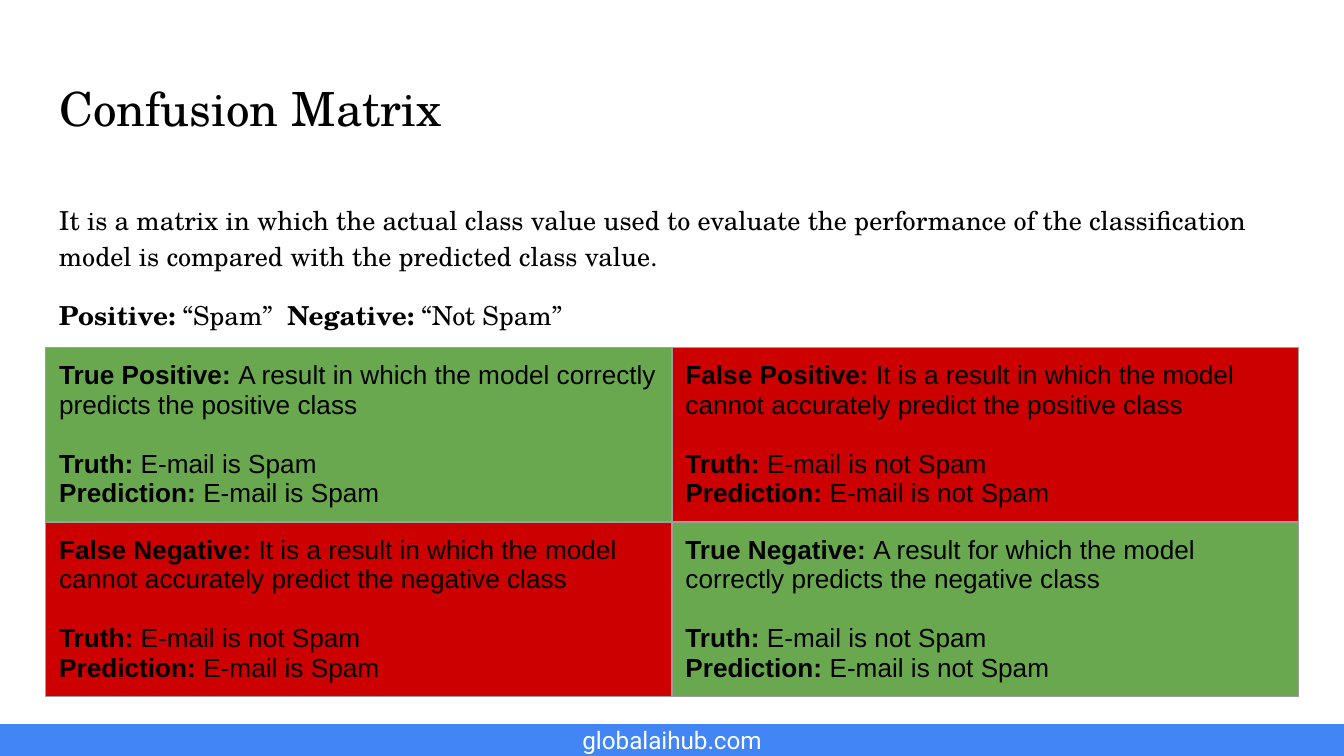
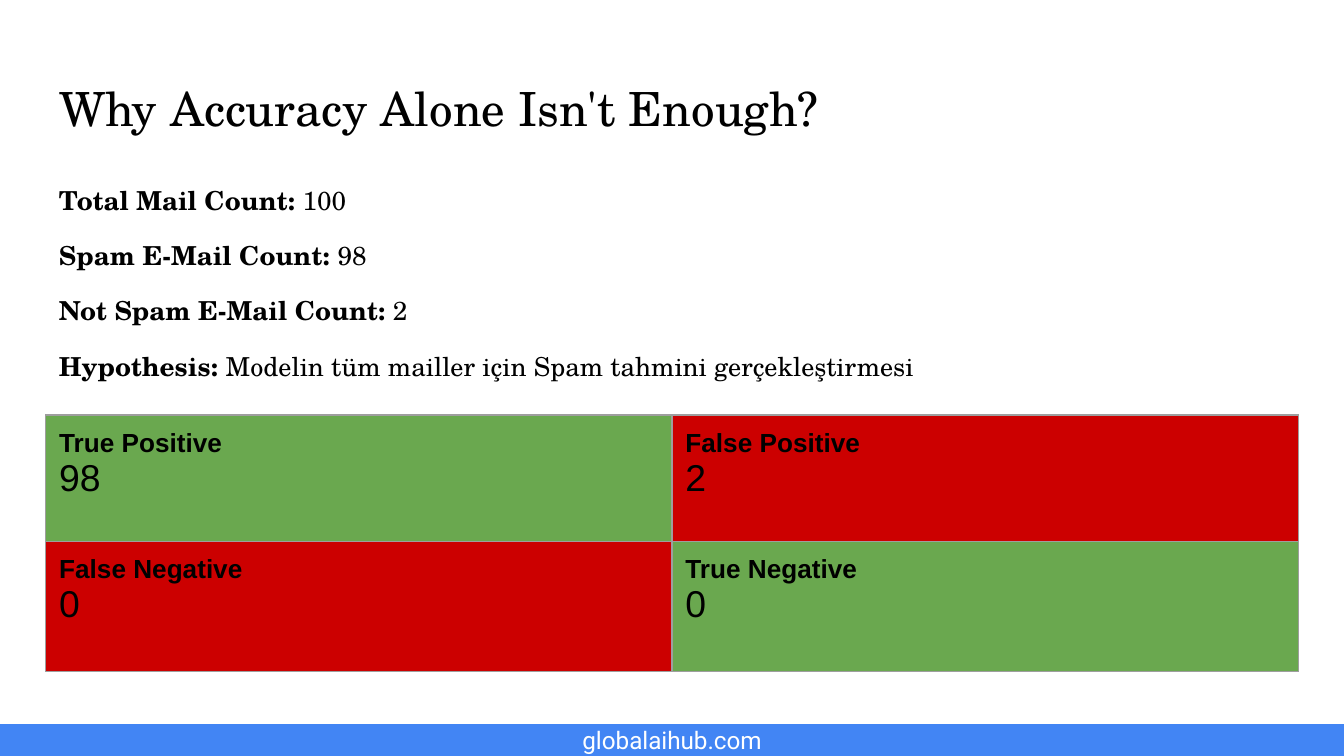
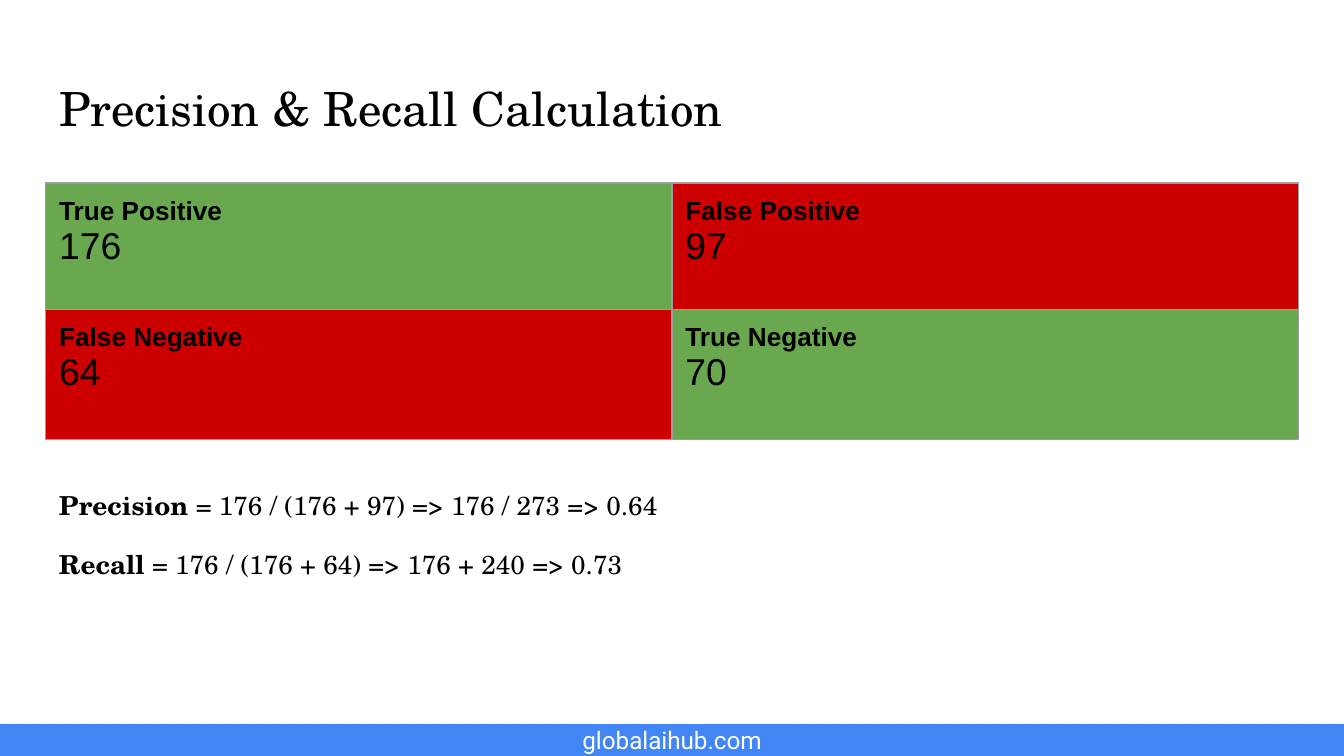
from lxml.etree import SubElement
from pptx import Presentation
from pptx.dml.color import RGBColor
from pptx.enum.shapes import MSO_SHAPE
from pptx.enum.text import MSO_ANCHOR, MSO_AUTO_SIZE, PP_ALIGN
from pptx.oxml.ns import qn
from pptx.util import Emu, Inches, Pt

SERIF, SANS, FOOTER_FONT = "TeX Gyre Schola", "Arial", "Roboto"
BLACK, WHITE, BLUE = "000000", "FFFFFF", "4285F4"
GREEN, RED, GREY = "6AA84F", "CC0000", "9E9E9E"
LEFT, WIDTH = 3.4, 93.2
INSET = Inches(0.1)
INSETS = {f"margin_{side}": INSET for side in ("left", "top", "right", "bottom")}
FRAME = {**INSETS, "word_wrap": True, "auto_size": MSO_AUTO_SIZE.NONE}
OUTCOMES = ("True Positive", "False Positive", "False Negative", "True Negative")


def color(value):
    return RGBColor.from_string(value)


def apply(target, values):
    for name, value in values.items():
        setattr(target, name, value)


class Deck:
    """Holds the shared style and the current slide; places are percentages of the slide."""

    def __init__(self):
        self.deck = Presentation()
        apply(self.deck, {"slide_width": Inches(10), "slide_height": Inches(5.625)})
        self.layout = self.deck.slide_layouts[5]
        self.page = None

    def place(self, left, top, width, height):
        across, down = self.deck.slide_width / 100, self.deck.slide_height / 100
        return [Emu(round(size)) for size in
                (left * across, top * down, width * across, height * down)]

    def add_page(self, title):
        first = self.page is None
        self.page = self.deck.slides.add_slide(self.layout)
        if first:
            self.add_footer()
        box = self.page.shapes.title
        apply(box, dict(zip(("left", "top", "width", "height"),
                            self.place(LEFT, 8.7, WIDTH, 11.2))))
        apply(box.text_frame, {**FRAME, "vertical_anchor": MSO_ANCHOR.TOP})
        para = box.text_frame.paragraphs[0]
        para.alignment = PP_ALIGN.LEFT
        self.add_span(para, title, SERIF, 25.2)

    def add_footer(self):
        """Draw the footer once and move it to the layout, so that every page shows it."""
        band = self.page.shapes.add_shape(MSO_SHAPE.RECTANGLE, *self.place(0, 95.8, 100, 4.2))
        band.shadow.inherit = False
        band.fill.solid()
        band.fill.fore_color.rgb = color(BLUE)
        band.line.fill.background()
        box = self.page.shapes.add_textbox(*self.place(28.9, 94, 42.2, 7.8))
        apply(box.text_frame, {**FRAME, "vertical_anchor": MSO_ANCHOR.MIDDLE})
        para = box.text_frame.paragraphs[0]
        para.alignment = PP_ALIGN.CENTER
        self.add_span(para, "globalaihub.com", FOOTER_FONT, 13, ink=WHITE)
        for shape in (band, box):
            self.layout.shapes.element.append(shape.element)

    def add_span(self, para, text, font, size, bold=False, ink=BLACK):
        span = para.add_run()
        span.text = text
        apply(span.font, {"name": font, "size": Pt(size), "bold": bold})
        span.font.color.rgb = color(ink)

    def add_paragraphs(self, frame, paragraphs, font, size=14):
        """Write paragraphs of spans that alternate between bold and plain."""
        for index, spans in enumerate(paragraphs):
            para = frame.add_paragraph() if index else frame.paragraphs[0]
            for number, text in enumerate(spans):
                if text:
                    self.add_span(para, text, font, size, bold=number % 2 == 0)
        return frame.paragraphs

    def add_body(self, top, height, paragraphs, spacing=1.15, tab=None):
        box = self.page.shapes.add_textbox(*self.place(LEFT, top, WIDTH, height))
        apply(box.text_frame, FRAME)
        for index, para in enumerate(self.add_paragraphs(box.text_frame, paragraphs, SERIF)):
            apply(para, {"line_spacing": spacing, "space_before": Pt(12 if index else 0)})
            if tab:
                stops = SubElement(para._p.get_or_add_pPr(), qn("a:tabLst"))
                SubElement(stops, qn("a:tab"), pos=str(Inches(tab)), algn="l")

    def add_matrix(self, top, row_heights, write_cell, contents):
        """Add the two-by-two table, with green on the diagonal and red off it."""
        place = self.place(LEFT, top, WIDTH, sum(row_heights))
        table = self.page.shapes.add_table(2, 2, *place).table
        apply(table, {"first_row": False, "horz_banding": False})
        for row, height in zip(table.rows, row_heights):
            row.height = self.place(0, 0, 0, height)[3]
        for index, (outcome, content) in enumerate(zip(OUTCOMES, contents)):
            row, column = divmod(index, 2)
            cell = table.cell(row, column)
            apply(cell, INSETS)
            self.add_borders(cell)
            cell.fill.solid()
            cell.fill.fore_color.rgb = color(GREEN if row == column else RED)
            write_cell(cell.text_frame, outcome, content)

    def add_borders(self, cell):
        properties = cell._tc.get_or_add_tcPr()
        for side in ("lnL", "lnR", "lnT", "lnB"):
            line = SubElement(properties, qn(f"a:{side}"), w=str(Pt(0.75)))
            fill = SubElement(line, qn("a:solidFill"))
            SubElement(fill, qn("a:srgbClr"), val=GREY)

    def write_meaning(self, frame, outcome, content):
        meaning, truth, prediction = content
        paras = self.add_paragraphs(frame, [
            (f"{outcome}: ", meaning),
            ("Truth:", f" E-mail is {truth}"),
            ("Prediction:", f" E-mail is {prediction}"),
        ], SANS)
        paras[1].space_before = Pt(16)

    def write_count(self, frame, outcome, count):
        self.add_paragraphs(frame, [(outcome,)], SANS)
        self.add_span(frame.add_paragraph(), str(count), SANS, 20)

    def add_meanings(self, top, meanings):
        self.add_matrix(top, (22.95, 22.95), self.write_meaning, meanings)

    def add_counts(self, top, counts):
        self.add_matrix(top, (16.7, 17.25), self.write_count, counts)


def main():
    show = Deck()

    show.add_page("Confusion Matrix")
    show.add_body(24.7, 19.7, [
        ("", "It is a matrix in which the actual class value used to evaluate the performance "
             "of the classification model is compared with the predicted class value."),
        ("Positive:", " “Spam”\t", "Negative:", " “Not Spam”"),
    ], tab=1.7)
    show.add_meanings(46, [
        ("A result in which the model correctly predicts the positive class", "Spam", "Spam"),
        ("It is a result in which the model cannot accurately predict the positive class",
         "not Spam", "not Spam"),
        ("It is a result in which the model cannot accurately predict the negative class",
         "not Spam", "Spam"),
        ("A result for which the model correctly predicts the negative class",
         "not Spam", "not Spam"),
    ])

    show.add_page("Why Accuracy Alone Isn't Enough?")
    show.add_body(22.4, 30, [
        ("Total Mail Count:", " 100"),
        ("Spam E-Mail Count: ", "98"),
        ("Not Spam E-Mail Count:", " 2"),
        ("Hypothesis: ", "Modelin tüm mailler için Spam tahmini gerçekleştirmesi"),
    ], spacing=1.05)
    show.add_counts(54.9, (98, 2, 0, 0))

    show.add_page("Precision & Recall Calculation")
    show.add_body(62.4, 21.5, [
        ("Precision", " = 176 / (176 + 97) => 176 / 273 => 0.64"),
        ("Recall", " = 176 / (176 + 64) => 176 + 240 => 0.73"),
    ])
    show.add_counts(24.2, (176, 97, 64, 70))

    show.deck.save("out.pptx")


if __name__ == "__main__":
    main()
